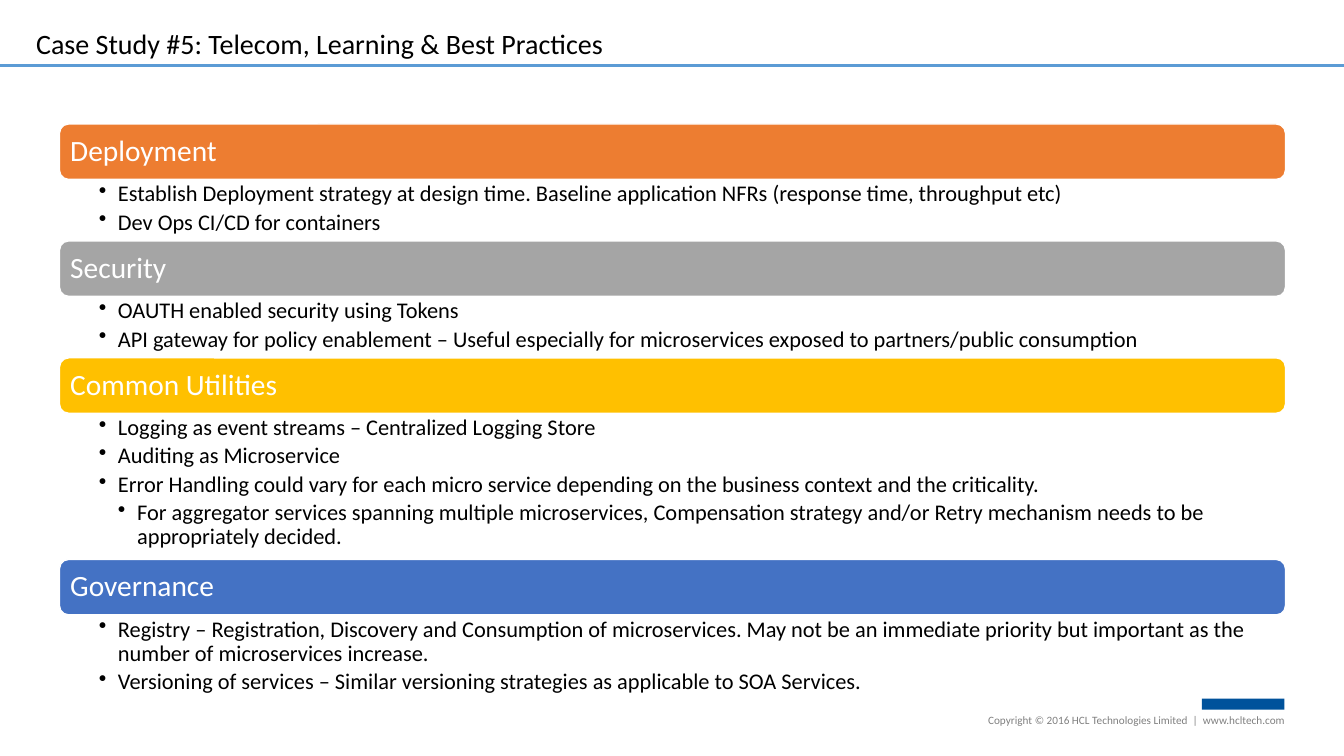
from lxml.etree import SubElement
from pptx import Presentation
from pptx.dml.color import RGBColor
from pptx.enum.shapes import MSO_CONNECTOR, MSO_SHAPE
from pptx.enum.text import MSO_ANCHOR, MSO_AUTO_SIZE, PP_ALIGN
from pptx.oxml.ns import qn
from pptx.util import Inches, Pt

COLORS = {
    "text": "000000",
    "white": "FFFFFF",
    "rule": "5B9BD5",
    "footer": "808080",
    "logo": "00529B",
    "deployment": "ED7D31",
    "security": "A5A5A5",
    "utilities": "FFC000",
    "governance": "4472C4",
}
FONT = "Calibri"
LEFT, WIDTH = 0.59, 12.16
FIRST_TOP, BAR_HEIGHT = 1.23, 0.55
INDENT = 0.19

SECTIONS = [
    ("Deployment", "deployment", 0.61, [
        (1, "Establish Deployment strategy at design time. Baseline application NFRs "
            "(response time, throughput etc)"),
        (1, "Dev Ops CI/CD for containers"),
    ]),
    ("Security", "security", 0.61, [
        (1, "OAUTH enabled security using Tokens"),
        (1, "API gateway for policy enablement – Useful especially for microservices "
            "exposed to partners/public consumption"),
    ]),
    ("Common Utilities", "utilities", 1.45, [
        (1, "Logging as event streams – Centralized Logging Store"),
        (1, "Auditing as Microservice"),
        (1, "Error Handling could vary for each micro service depending on the business "
            "context and the criticality."),
        (2, "For aggregator services spanning multiple microservices, Compensation strategy "
            "and/or Retry mechanism needs to be appropriately decided."),
    ]),
    ("Governance", "governance", 0.86, [
        (1, "Registry – Registration, Discovery and Consumption of microservices. May not be "
            "an immediate priority but important as the number of microservices increase."),
        (1, "Versioning of services – Similar versioning strategies as applicable to "
            "SOA Services."),
    ]),
]


def rgb(name):
    return RGBColor.from_string(COLORS[name])


def set_insets(frame, left, top, right, bottom):
    frame.margin_left, frame.margin_top = Inches(left), Inches(top)
    frame.margin_right, frame.margin_bottom = Inches(right), Inches(bottom)


def add_run(paragraph, text, size, color):
    run = paragraph.add_run()
    run.text = text
    run.font.name = FONT
    run.font.size = Pt(size)
    run.font.color.rgb = rgb(color)


def add_block(slide, preset, left, top, width, height, color):
    block = slide.shapes.add_shape(
        preset, Inches(left), Inches(top), Inches(width), Inches(height))
    block.shadow.inherit = False
    block.fill.solid()
    block.fill.fore_color.rgb = rgb(color)
    block.line.fill.background()
    return block


def add_label(slide, left, top, width, height, text, size, color, align=PP_ALIGN.LEFT, insets=None):
    label = slide.shapes.add_textbox(Inches(left), Inches(top), Inches(width), Inches(height))
    frame = label.text_frame
    frame.word_wrap = False
    frame.auto_size = MSO_AUTO_SIZE.SHAPE_TO_FIT_TEXT
    if insets:
        set_insets(frame, *insets)
    paragraph = frame.paragraphs[0]
    paragraph.alignment = align
    add_run(paragraph, text, size, color)


def add_rule(slide, top, width):
    rule = slide.shapes.add_connector(
        MSO_CONNECTOR.STRAIGHT, 0, Inches(top), width, Inches(top))
    rule.line.color.rgb = rgb("rule")
    rule.line.width = Pt(2.25)
    SubElement(rule._element.spPr, qn("a:effectLst"))


def add_heading_bar(slide, top, heading, color):
    bar = add_block(slide, MSO_SHAPE.ROUNDED_RECTANGLE, LEFT, top, WIDTH, BAR_HEIGHT, color)
    bar.line.color.rgb = rgb("white")
    bar.line.width = Pt(1)
    frame = bar.text_frame
    frame.vertical_anchor = MSO_ANCHOR.MIDDLE
    set_insets(frame, 0.08, 0.05, 0.08, 0.05)
    paragraph = frame.paragraphs[0]
    paragraph.alignment = PP_ALIGN.LEFT
    paragraph.line_spacing = 0.9
    add_run(paragraph, heading, 21, "white")


def add_bullets(slide, top, height, bullets):
    body = slide.shapes.add_textbox(Inches(LEFT), Inches(top), Inches(WIDTH), Inches(height))
    frame = body.text_frame
    frame.word_wrap = True
    set_insets(frame, 0.39, 0.03, 0.16, 0.03)
    for index, (level, text) in enumerate(bullets):
        paragraph = frame.add_paragraph() if index else frame.paragraphs[0]
        properties = paragraph._p.get_or_add_pPr()
        properties.set("marL", str(Inches(INDENT * level)))
        properties.set("indent", str(Inches(-INDENT)))
        SubElement(properties, qn("a:buChar"), char="•")
        paragraph.level = level
        paragraph.line_spacing = 0.9
        paragraph.space_after = Pt(3)
        add_run(paragraph, text, 16, "text")


def main():
    deck = Presentation()
    deck.slide_width, deck.slide_height = Inches(13.33), Inches(7.5)
    slide = deck.slides.add_slide(deck.slide_layouts[6])

    top = FIRST_TOP
    for heading, color, body_height, bullets in SECTIONS:
        add_heading_bar(slide, top, heading, color)
        add_bullets(slide, top + BAR_HEIGHT, body_height, bullets)
        top += BAR_HEIGHT + body_height

    add_label(slide, 0.26, 0.21, 5.97, 0.44,
              "Case Study #5: Telecom, Learning & Best Practices", 20, "text")
    add_rule(slide, 0.65, deck.slide_width)
    add_label(slide, 9.77, 7.08, 2.98, 0.13,
              "Copyright © 2016 HCL Technologies Limited  |  www.hcltech.com",
              8, "footer", PP_ALIGN.RIGHT, (0, 0, 0, 0))
    add_block(slide, MSO_SHAPE.RECTANGLE, 11.92, 6.93, 0.82, 0.11, "logo")
    deck.save("out.pptx")


if __name__ == "__main__":
    main()
